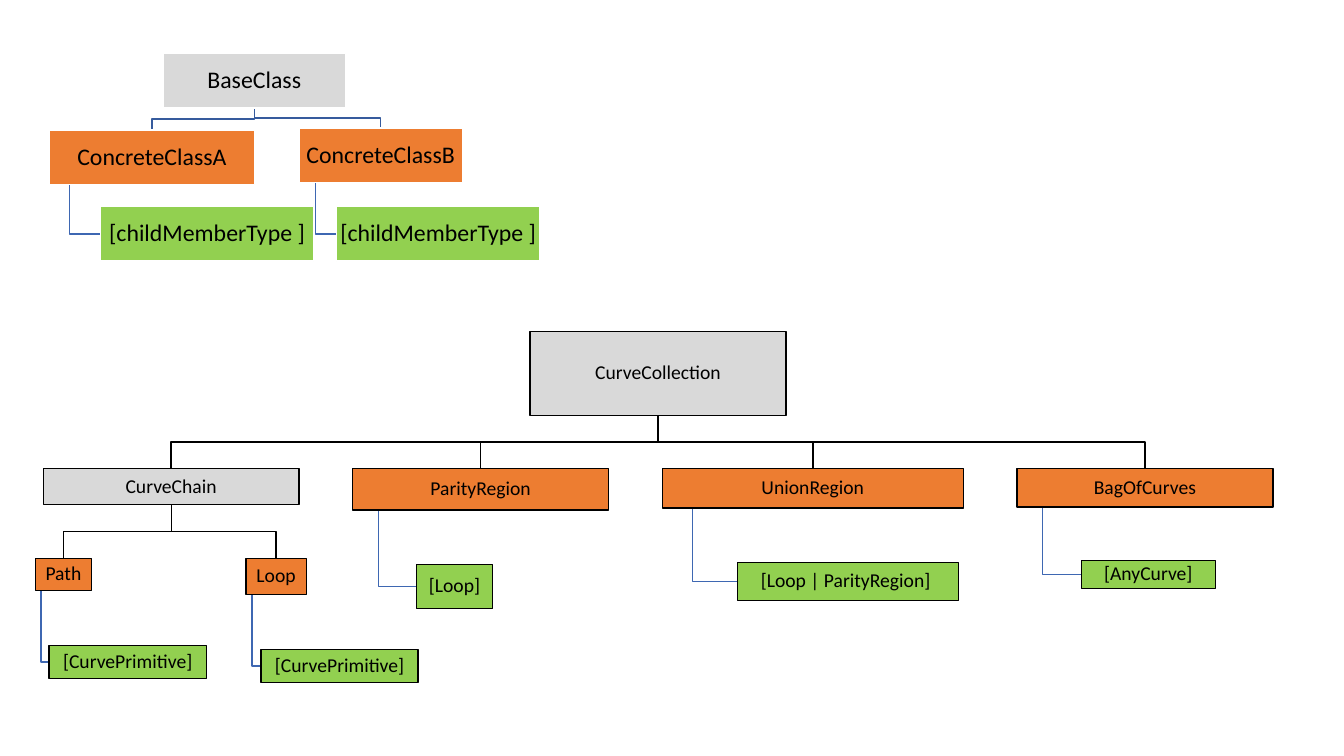
import dataclasses

import pptx
import pptx.dml.color
import pptx.enum.shapes
import pptx.enum.text
import pptx.util

Cm = pptx.util.Cm


@dataclasses.dataclass
class Theme:
    base: str = "D9D9D9"
    solid: str = "ED7D31"
    member: str = "92D050"
    ink: str = "000000"
    paper: str = "FFFFFF"
    hook: str = "3E67B2"
    fork: str = "365B9D"
    font: str = "Calibri"
    large: int = 17
    small: int = 14
    stroke: int = 1


@dataclasses.dataclass
class Node:
    text: str
    fill: str
    left: float
    top: float
    width: float
    height: float
    kids: list = dataclasses.field(default_factory=list)


@dataclasses.dataclass
class Chart:
    theme: Theme
    slide: object

    def paint(self, line, tint):
        line.color.rgb = pptx.dml.color.RGBColor.from_string(tint)
        line.width = pptx.util.Pt(self.theme.stroke)

    def trace(self, points, tint):
        start, *rest = [(Cm(x), Cm(y)) for x, y in points]
        pen = self.slide.shapes.build_freeform(*start)
        pen.add_line_segments(rest, close=False)
        shape = pen.convert_to_shape()
        shape.shadow.inherit = False
        shape.fill.background()
        self.paint(shape.line, tint)

    def fork(self, node, kid, tint):
        x, y = node.left + node.width / 2, node.top + node.height
        end = kid.left + kid.width / 2
        bend = (y + kid.top) / 2
        self.trace([(x, y), (x, bend), (end, bend), (end, kid.top)], tint)

    def hook(self, node, kid):
        x, y = node.left + node.width / 10, node.top + node.height
        end = kid.top + kid.height / 2
        self.trace([(x, y), (x, end), (kid.left, end)], self.theme.hook)

    def link(self, node, tint):
        for kid in node.kids:
            if kid.fill == self.theme.member:
                self.hook(node, kid)
            else:
                self.fork(node, kid, tint)
            self.link(kid, tint)

    def box(self, node, edge, size):
        rect = pptx.enum.shapes.MSO_SHAPE.RECTANGLE
        place = map(Cm, (node.left, node.top, node.width, node.height))
        shape = self.slide.shapes.add_shape(rect, *place)
        shape.shadow.inherit = False
        shape.fill.solid()
        shape.fill.fore_color.rgb = pptx.dml.color.RGBColor.from_string(node.fill)
        self.paint(shape.line, edge)
        frame = shape.text_frame
        frame.text = node.text
        frame.word_wrap = False
        frame.vertical_anchor = pptx.enum.text.MSO_ANCHOR.MIDDLE
        frame.margin_left = frame.margin_right = Cm(0.03)
        frame.margin_top = frame.margin_bottom = Cm(0.03)
        line = frame.paragraphs[0]
        line.alignment = pptx.enum.text.PP_ALIGN.CENTER
        line.line_spacing = 0.9
        font = line.runs[0].font
        font.name = self.theme.font
        font.size = pptx.util.Pt(size)
        font.color.rgb = pptx.dml.color.RGBColor.from_string(self.theme.ink)
        for kid in node.kids:
            self.box(kid, edge, size)

    def tree(self, root, tint, edge, size):
        self.link(root, tint)
        self.box(root, edge, size)


def main():
    deck = pptx.Presentation()
    deck.slide_width, deck.slide_height = Cm(33.87), Cm(19.05)
    theme = Theme()
    chart = Chart(theme, deck.slides.add_slide(deck.slide_layouts[6]))
    base, solid, member = theme.base, theme.solid, theme.member
    row, low = 11.81, 14.07
    wide, tall = 6.45, 1.37

    curves = Node("CurveCollection", base, 13.36, 8.36, wide, 2.11, [
        Node("CurveChain", base, 1.09, row, wide, 0.91, [
            Node("Path", solid, 0.89, low, 1.42, 0.81, [
                Node("[CurvePrimitive]", member, 1.24, 16.26, 3.96, 0.84)]),
            Node("Loop", solid, 6.2, low, 1.52, 0.91, [
                Node("[CurvePrimitive]", member, 6.58, 16.36, 3.96, 0.84)]),
        ]),
        Node("ParityRegion", solid, 8.89, row, wide, 1.04, [
            Node("[Loop]", member, 10.49, 14.22, 1.93, 1.12)]),
        Node("UnionRegion", solid, 16.69, row, 7.59, 0.99, [
            Node("[Loop | ParityRegion] ", member, 18.59, 14.17, 5.56, 0.97)]),
        Node("BagOfCurves", solid, 25.63, row, wide, 0.97, [
            Node("[AnyCurve]", member, 27.25, 14.12, 3.38, 0.71)]),
    ])
    legend = Node("BaseClass", base, 4.11, 1.35, 4.6, tall, [
        Node("ConcreteClassA", solid, 1.24, 3.28, 5.18, tall, [
            Node("[childMemberType ]", member, 2.54, 5.21, 5.36, tall)]),
        Node("ConcreteClassB", solid, 7.54, 3.23, 4.11, tall, [
            Node("[childMemberType ]", member, 8.48, 5.21, 5.13, tall)]),
    ])

    chart.tree(curves, theme.ink, theme.ink, theme.small)
    chart.tree(legend, theme.fork, theme.paper, theme.large)
    deck.save("out.pptx")


if __name__ == "__main__":
    main()
